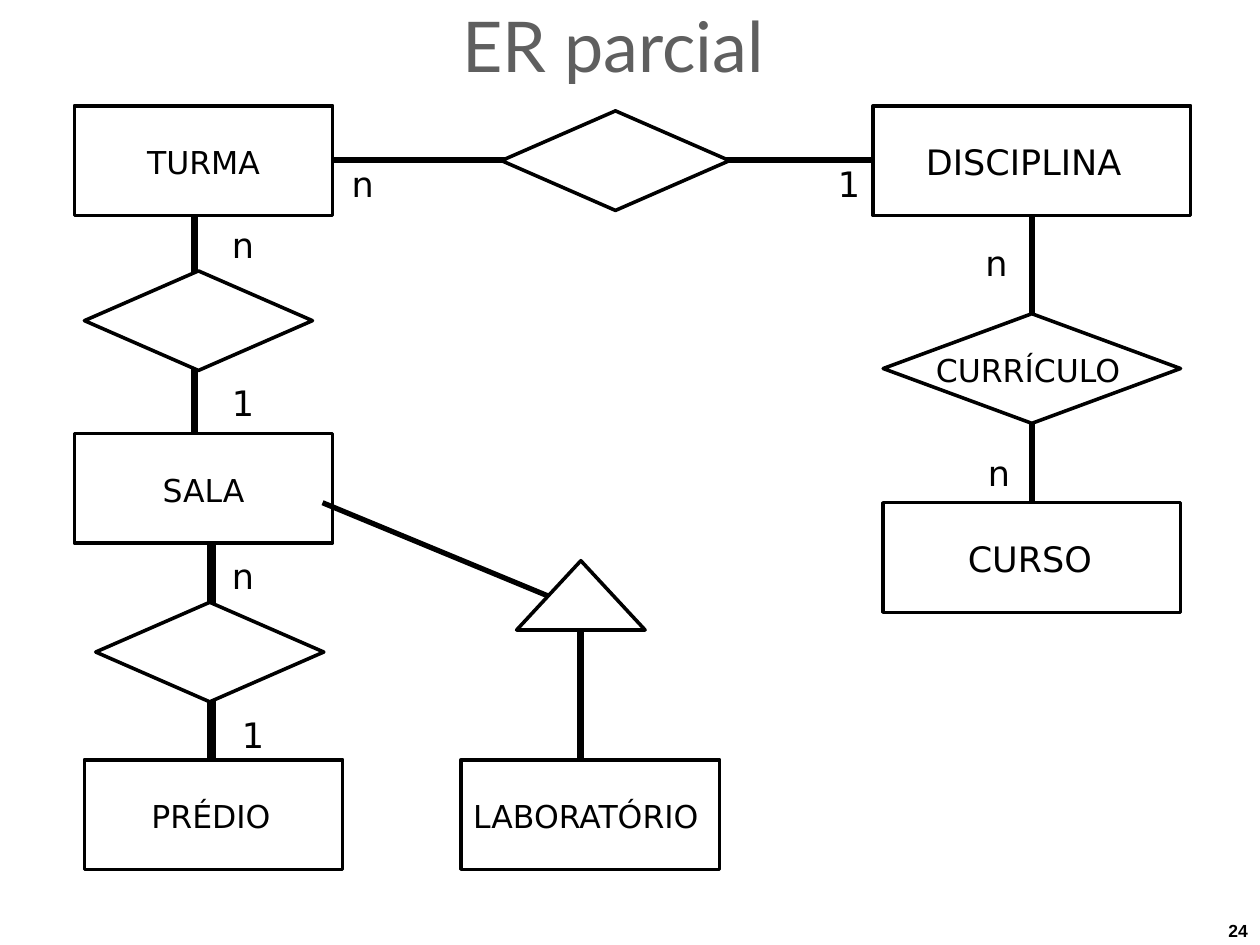
"""Builds a slide with a partial entity-relationship diagram."""
import pptx
import pptx.dml.color
import pptx.enum.shapes
import pptx.enum.text
import pptx.oxml
import pptx.oxml.ns
import pptx.util

Inches = pptx.util.Inches
Pt = pptx.util.Pt
Kind = pptx.enum.shapes.MSO_SHAPE
Align = pptx.enum.text.PP_ALIGN

COLORS = {"ink": "000000", "paper": "FFFFFF", "title": "5F5F5F"}
FONT = "DejaVu Sans"

LINKS = [
    (1.54, 1.7, 1.54, 3.44, 4),
    (1.68, 4.3, 1.68, 6.03, 5),
    (4.35, 4.73, 2.56, 3.99, 3),
    (4.61, 4.99, 4.61, 6.03, 3.87),
    (8.19, 3.99, 8.19, 3.36, 3),
    (8.19, 2.49, 8.19, 1.7, 3),
    (2.64, 1.27, 6.93, 1.27, 3),
]
ENTITIES = [
    ("TURMA", 0.59, 0.84, 2.05, 18, 0),
    ("PRÉDIO", 0.67, 6.03, 2.05, 18, 0.04),
    ("LABORATÓRIO", 3.66, 6.03, 2.05, 18, 0.07),
    ("CURSO", 7.01, 3.99, 2.36, 20, 0.03),
    ("DISCIPLINA", 6.93, 0.84, 2.52, 20, 0.13),
]
RELATIONS = [(0.67, 2.15), (0.76, 4.78), (3.98, 0.88)]
LABELS = [
    ("n", 7.83, 3.55),
    ("n", 7.81, 1.89),
    ("n", 2.78, 1.26),
    ("1", 6.64, 1.26),
    ("1", 1.83, 3),
    ("n", 1.83, 1.74),
    ("n", 1.83, 4.37),
    ("1", 1.91, 5.63),
]


def color(name):
    """Return a named colour."""
    return pptx.dml.color.RGBColor.from_string(COLORS[name])


def write(shape, text, size, font=FONT, ink="ink", bold=False,
          align=Align.LEFT, inset=(0, 0)):
    """Put one line of text in a shape; inset is top and right."""
    frame = shape.text_frame
    frame.text = text
    frame.word_wrap = False
    frame.margin_left = frame.margin_bottom = 0
    frame.margin_top, frame.margin_right = map(Inches, inset)
    line = frame.paragraphs[0]
    line.alignment = align
    style = line.runs[0].font
    style.name, style.size, style.bold = font, Pt(size), bold
    style.color.rgb = color(ink)


def add_text(slide, text, box, size, **style):
    """Add a text box."""
    shape = slide.shapes.add_textbox(*map(Inches, box))
    write(shape, text, size, **style)


def add_node(slide, kind, box, text="", size=18, shift=0, fill=True):
    """Add an outlined shape, with its text moved left by half the shift."""
    shape = slide.shapes.add_shape(kind, *map(Inches, box))
    shape.shadow.inherit = False
    if fill:
        shape.fill.solid()
        shape.fill.fore_color.rgb = color("paper")
    else:
        shape.fill.background()
    shape.line.color.rgb = color("ink")
    shape.line.width = Pt(2.04)
    if text:
        shape.text_frame.vertical_anchor = pptx.enum.text.MSO_ANCHOR.MIDDLE
        write(shape, text, size, align=Align.CENTER, inset=(0.02, shift))


def add_link(slide, ends, width):
    """Add a straight line without shadow."""
    straight = pptx.enum.shapes.MSO_CONNECTOR.STRAIGHT
    link = slide.shapes.add_connector(straight, *map(Inches, ends))
    link.line.color.rgb = color("ink")
    link.line.width = Pt(width)
    tag = pptx.oxml.ns.qn("a:effectLst")
    link._element.spPr.append(pptx.oxml.parse_xml(
        f'<a:effectLst {pptx.oxml.ns.nsdecls("a")}/>'))


def main():
    """Build and save the slide."""
    deck = pptx.Presentation()
    deck.slide_width, deck.slide_height = Inches(10), Inches(7.5)
    slide = deck.slides.add_slide(deck.slide_layouts[6])
    for *ends, width in LINKS:
        add_link(slide, ends, width)
    add_text(slide, "ER parcial", (3.67, 0, 2.45, 0.69), 40,
             font="Lato", ink="title", inset=(0.02, 0))
    add_node(slide, Kind.RECTANGLE, (0.59, 3.44, 2.05, 0.87), "SALA",
             fill=False)
    add_node(slide, Kind.ISOSCELES_TRIANGLE, (4.1, 4.45, 1.02, 0.55))
    for text, left, top, width, size, shift in ENTITIES:
        add_node(slide, Kind.RECTANGLE, (left, top, width, 0.87),
                 text, size, shift)
    add_node(slide, Kind.DIAMOND, (7.01, 2.49, 2.36, 0.87), "CURRÍCULO",
             shift=0.06)
    for left, top in RELATIONS:
        add_node(slide, Kind.DIAMOND, (left, top, 1.81, 0.79))
    for text, left, top in LABELS:
        add_text(slide, text, (left + 0.01, top, 0.2, 0.36), 20,
                 inset=(0.03, 0))
    add_text(slide, "24", (9.75, 7.3, 0.2, 0.18), 10, font="Arial", bold=True)
    deck.save("out.pptx")


if __name__ == "__main__":
    main()
